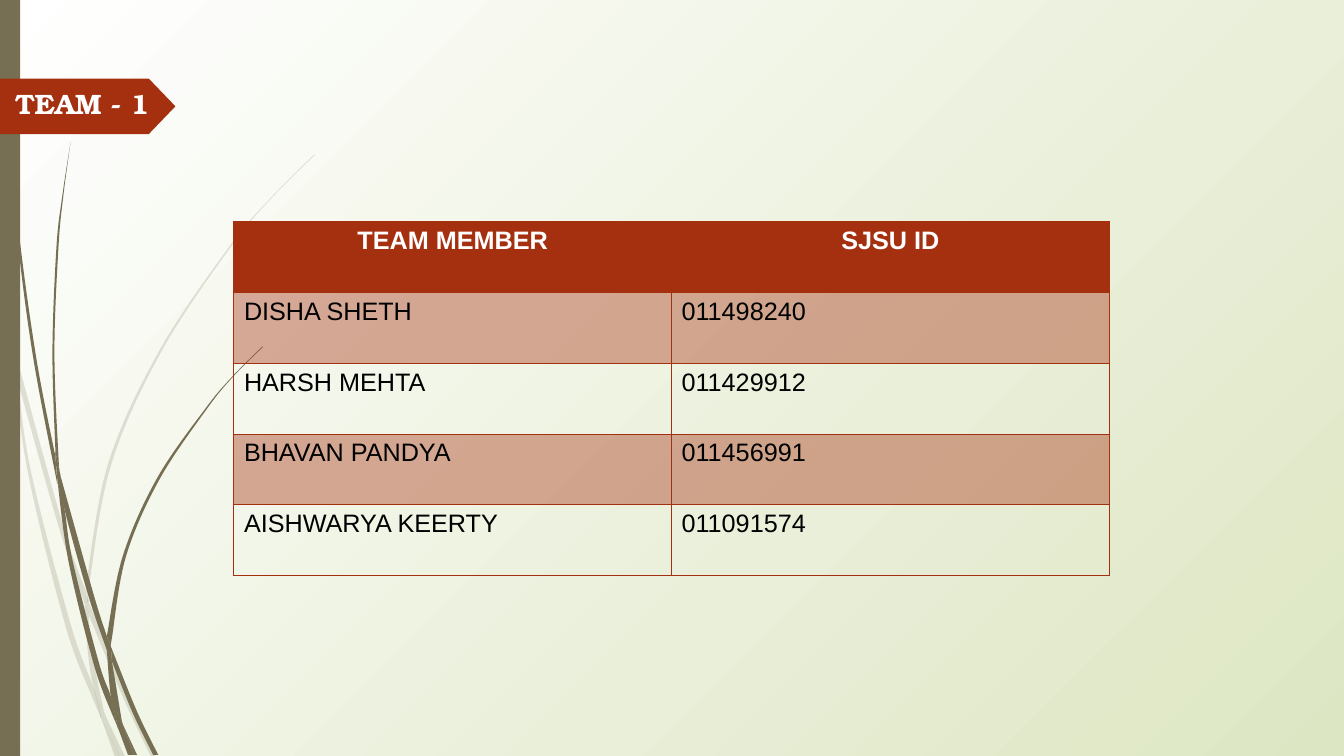
from lxml.etree import SubElement
from pptx import Presentation
from pptx.dml.color import RGBColor
from pptx.enum.shapes import MSO_SHAPE as Preset
from pptx.enum.text import MSO_ANCHOR as Anchor, PP_ALIGN as Align
from pptx.oxml.ns import qn
from pptx.util import Inches, Pt

COLORS = {"white": "FFFFFF", "meadow": "DDE6C3", "olive": "766F54",
          "rust": "A53010", "black": "000000"}
LIGHT_BLADES = [
    ([(0.11, 3.5), (0.09, 3.22), (0, 2.82)], [(0, 2.99), (0.1, 3.44)]),
    ([(0.14, 3.45), (0.62, 5.2), (0.85, 5.86)], [(0.84, 5.99), (0.58, 5.22), (0.17, 3.76)]),
    ([(0.88, 5.96), (0.92, 6.07), (1.27, 6.92), (1.55, 7.51)],
     [(1.5, 7.51), (1.23, 6.94), (0.88, 6.1)]),
    ([(1.05, 7.11), (1.24, 7.51)], [(1.19, 7.51)]),
    ([(0.11, 3.5), (0.17, 3.76), (0.31, 4.69), (0.7, 6.19), (0.93, 6.83), (1.01, 7.14)],
     [(0.92, 6.93), (0.65, 6.21), (0.28, 4.7), (0.11, 3.5)]),
    ([(0.84, 5.99), (0.87, 6.46), (0.93, 6.83), (1.05, 7.11)],
     [(1.03, 7.06), (0.91, 6.46), (0.88, 6.1), (0.88, 6.08)]),
    ([(0.88, 5.96), (0.88, 5.84), (1.1, 4.62), (1.6, 3.49), (2.29, 2.45), (2.68, 1.98),
      (3.12, 1.54)],
     [(3.12, 1.53), (2.68, 1.97), (2.28, 2.44), (1.58, 3.48), (1.07, 4.61), (0.85, 5.84)]),
    ([(1.01, 7.14), (1.14, 7.51)], [(1.19, 7.51)]),
    ([(0.88, 6.08), (0.88, 5.96)], [(0.85, 5.86), (0.84, 5.99)]),
    ([(0.93, 6.83), (0.99, 7.07), (1.01, 7.14), (1.19, 7.51)],
     [(1.05, 7.11), (0.96, 6.92)]),
]
DARK_BLADES = [
    ([(0.03, 0), (0.04, 0.48), (0.07, 1.1), (0.17, 2.33), (0.33, 3.55), (0.57, 4.81)],
     [(0.55, 4.53), (0.36, 3.55), (0.19, 2.32), (0.08, 1.09), (0.05, 0.48), (0.04, 0)]),
    ([(0.6, 4.72), (0.64, 5.05), (0.88, 5.92), (1.06, 6.45)],
     [(1.06, 6.31), (0.93, 5.9), (0.6, 4.72)]),
    ([(1.1, 6.41), (1.13, 6.49), (1.36, 7.06), (1.57, 7.49)],
     [(1.52, 7.49), (1.32, 7.08), (1.11, 6.56)]),
    ([(0.57, 4.77), (0.64, 5.05), (0.72, 5.56), (0.98, 6.57), (1.1, 6.91), (1.17, 7.22)],
     [(1.11, 7.08), (0.93, 6.59), (0.68, 5.57), (0.57, 4.77)]),
    ([(0.6, 4.72), (0.58, 4.53), (0.54, 3.49), (0.58, 2.45), (0.63, 1.93), (0.7, 1.41)],
     [(0.7, 1.41), (0.62, 1.93), (0.56, 2.45), (0.52, 3.49), (0.55, 4.49)]),
    ([(1.22, 7.19), (1.36, 7.49)], [(1.33, 7.49)]),
    ([(0.57, 4.77), (0.64, 5.05)], [(0.6, 4.72), (0.55, 4.49), (0.55, 4.53)]),
    ([(1.1, 6.41), (1.11, 6.33), (1.25, 5.52), (1.58, 4.76), (2.05, 4.06), (2.31, 3.74),
      (2.61, 3.44)],
     [(2.6, 3.44), (2.31, 3.73), (2.04, 4.05), (1.56, 4.74), (1.22, 5.51), (1.06, 6.31)]),
    ([(1.17, 7.22), (1.27, 7.49)], [(1.31, 7.49)]),
    ([(1.06, 6.45), (1.1, 6.91), (1.16, 7.06), (1.22, 7.19)],
     [(1.21, 7.16), (1.11, 6.56), (1.09, 6.51)]),
    ([(1.06, 6.45), (1.11, 6.56)], [(1.1, 6.41), (1.06, 6.31)]),
    ([(1.1, 6.91), (1.16, 7.17), (1.17, 7.22), (1.3, 7.49)],
     [(1.33, 7.49), (1.22, 7.19), (1.16, 7.06)]),
]
MEMBERS = [("TEAM MEMBER", "SJSU ID"), ("DISHA SHETH", "011498240"),
           ("HARSH MEHTA", "011429912"), ("BHAVAN PANDYA", "011456991"),
           ("AISHWARYA KEERTY", "011091574")]


def color(name):
    """Return the named palette color."""
    return RGBColor.from_string(COLORS[name])


def set_alpha(fill_parent, percent):
    """Make the solid fill found in an element partly transparent."""
    rgb = fill_parent.find(qn("a:solidFill")).find(qn("a:srgbClr"))
    SubElement(rgb, qn("a:alpha")).set("val", str(percent * 1000))


def paint(shape, name):
    """Give a shape a flat fill without outline or shadow."""
    shape.shadow.inherit = False
    shape.fill.solid()
    shape.fill.fore_color.rgb = color(name)
    shape.line.fill.background()


def bend(segments, start):
    """Turn the line segments of one blade edge into smooth curves."""
    ends = [segment.find(qn("a:pt")) for segment in segments]
    knots = [start] + [(int(end.get("x")), int(end.get("y"))) for end in ends]
    padded = [knots[0], *knots, knots[-1]]
    for index, segment in enumerate(segments):
        before, first, last, after = padded[index:index + 4]
        segment.tag = qn("a:cubicBezTo")
        controls = ([a + (c - b) / 6 for a, b, c in zip(first, before, last)],
                    [a - (c - b) / 6 for a, b, c in zip(last, first, after)])
        for x, y in controls:
            SubElement(segment, qn("a:pt"), {"x": str(round(x)), "y": str(round(y))})
        segment.append(ends[index])


def add_blade(slide, edges, opacity):
    """Draw one piece of a grass blade between its two curved edges."""
    outline = [(Inches(x), Inches(y)) for edge in edges for x, y in edge]
    builder = slide.shapes.build_freeform(*outline[0])
    builder.add_line_segments(outline[1:], close=True)
    blade = builder.convert_to_shape()
    segments = list(blade._element.iter(qn("a:lnTo")))
    left = min(x for x, y in outline)
    top = min(y for x, y in outline)
    first = 0
    for edge in edges:
        x, y = outline[first]
        bend(segments[first:first + len(edge) - 1], (x - left, y - top))
        first += len(edge)
    paint(blade, "olive")
    if opacity < 100:
        set_alpha(blade._element.spPr, opacity)


def add_backdrop(slide, height):
    """Set the gradient background and draw the grass and the side bar."""
    fill = slide.background.fill
    fill.gradient()
    for stop, name, position in zip(fill.gradient_stops, ("white", "meadow"), (0, 1)):
        stop.color.rgb = color(name)
        stop.position = position
    gradient = slide._element.find(".//" + qn("a:gradFill"))
    gradient.remove(gradient.find(qn("a:lin")))
    radial = SubElement(gradient, qn("a:path"), {"path": "circle"})
    SubElement(radial, qn("a:fillToRect"), {"r": "100000", "b": "100000"})
    for blades, opacity in ((LIGHT_BLADES, 20), (DARK_BLADES, 100)):
        for edges in blades:
            add_blade(slide, edges, opacity)
    bar = slide.shapes.add_shape(Preset.RECTANGLE, 0, 0, Inches(0.2), Inches(height))
    paint(bar, "olive")


def add_title(slide, left, top, width, height):
    """Draw the arrow tag with the slide title over it."""
    tag = slide.shapes.add_shape(Preset.PENTAGON, Inches(left), Inches(top),
                                 Inches(width), Inches(height))
    tag.adjustments[0] = 0.48
    paint(tag, "rust")
    title = slide.shapes.add_textbox(Inches(left - 0.8), Inches(top - 0.4),
                                     Inches(width + 1.49), Inches(height + 0.79))
    frame = title.text_frame
    frame.word_wrap = True
    frame.vertical_anchor = Anchor.MIDDLE
    frame.text = "TEAM - 1"
    paragraph = frame.paragraphs[0]
    paragraph.alignment = Align.CENTER
    paragraph.line_spacing = 0.9
    style_run(paragraph.runs[0], "TeX Gyre Bonum", 20, "white", True)


def style_run(run, typeface, size, name, bold):
    """Set the font of a run."""
    run.font.name = typeface
    run.font.size = Pt(size)
    run.font.bold = bold
    run.font.color.rgb = color(name)


def add_borders(cell):
    """Outline a cell on all four sides."""
    properties = cell._tc.get_or_add_tcPr()
    for side in ("lnL", "lnR", "lnT", "lnB"):
        line = SubElement(properties, qn("a:" + side), {"w": str(Pt(0.75))})
        solid = SubElement(line, qn("a:solidFill"))
        SubElement(solid, qn("a:srgbClr"), {"val": COLORS["rust"]})


def add_member_table(slide, left, top, width, height):
    """Build the banded table of team members."""
    frame = slide.shapes.add_table(len(MEMBERS), 2, Inches(left), Inches(top),
                                   Inches(width), Inches(height))
    table = frame.table
    table.horz_banding = False
    for row, texts in enumerate(MEMBERS):
        header = row == 0
        for column, text in enumerate(texts):
            cell = table.cell(row, column)
            add_borders(cell)
            if header or row % 2:
                cell.fill.solid()
                cell.fill.fore_color.rgb = color("rust")
                if not header:
                    set_alpha(cell._tc.tcPr, 40)
            else:
                cell.fill.background()
            cell.text_frame.text = text
            paragraph = cell.text_frame.paragraphs[0]
            paragraph.alignment = Align.CENTER if header else Align.LEFT
            style_run(paragraph.runs[0], "Arial", 18,
                      "white" if header else "black", header)


def main():
    """Create the team slide and save it."""
    presentation = Presentation()
    presentation.slide_width = Inches(13.33)
    presentation.slide_height = Inches(7.5)
    slide = presentation.slides.add_slide(presentation.slide_layouts[6])
    add_backdrop(slide, 7.5)
    add_title(slide, 0, 0.78, 1.74, 0.55)
    add_member_table(slide, 2.32, 2.2, 8.68, 3.51)
    presentation.save("out.pptx")


if __name__ == "__main__":
    main()
